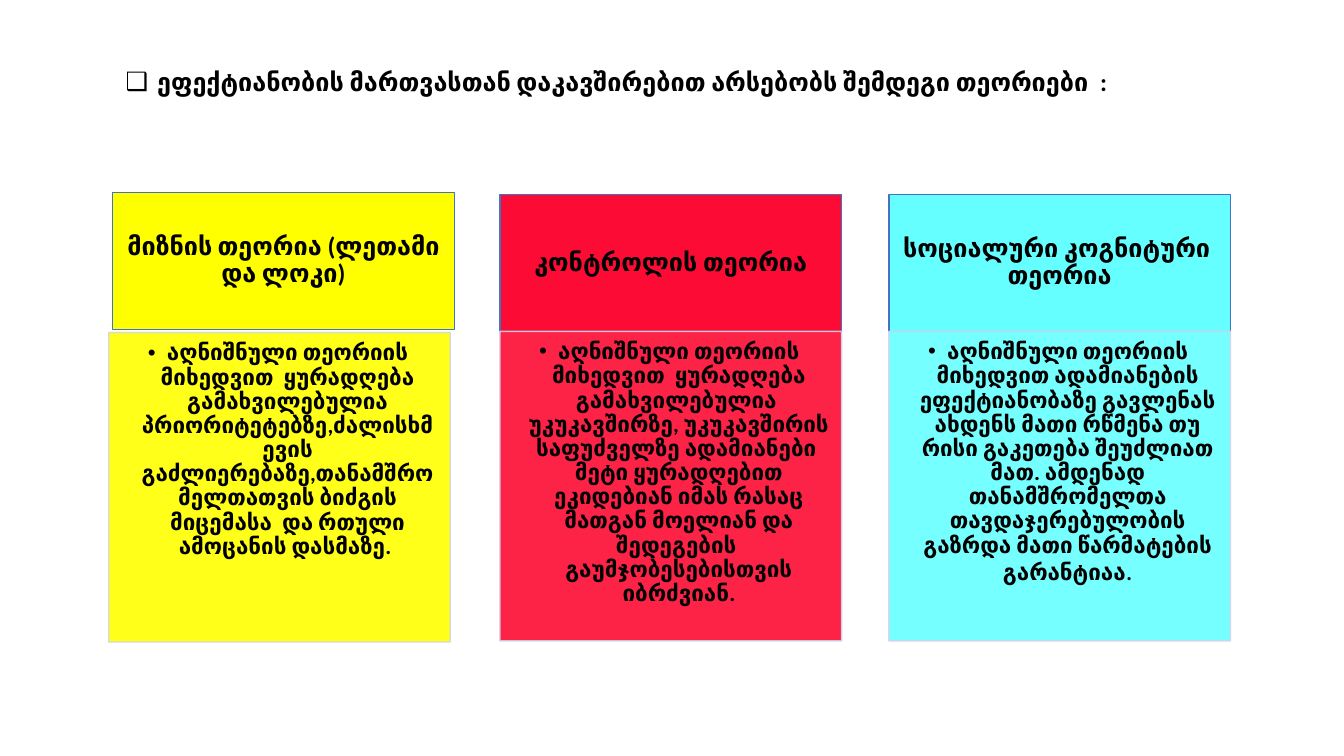
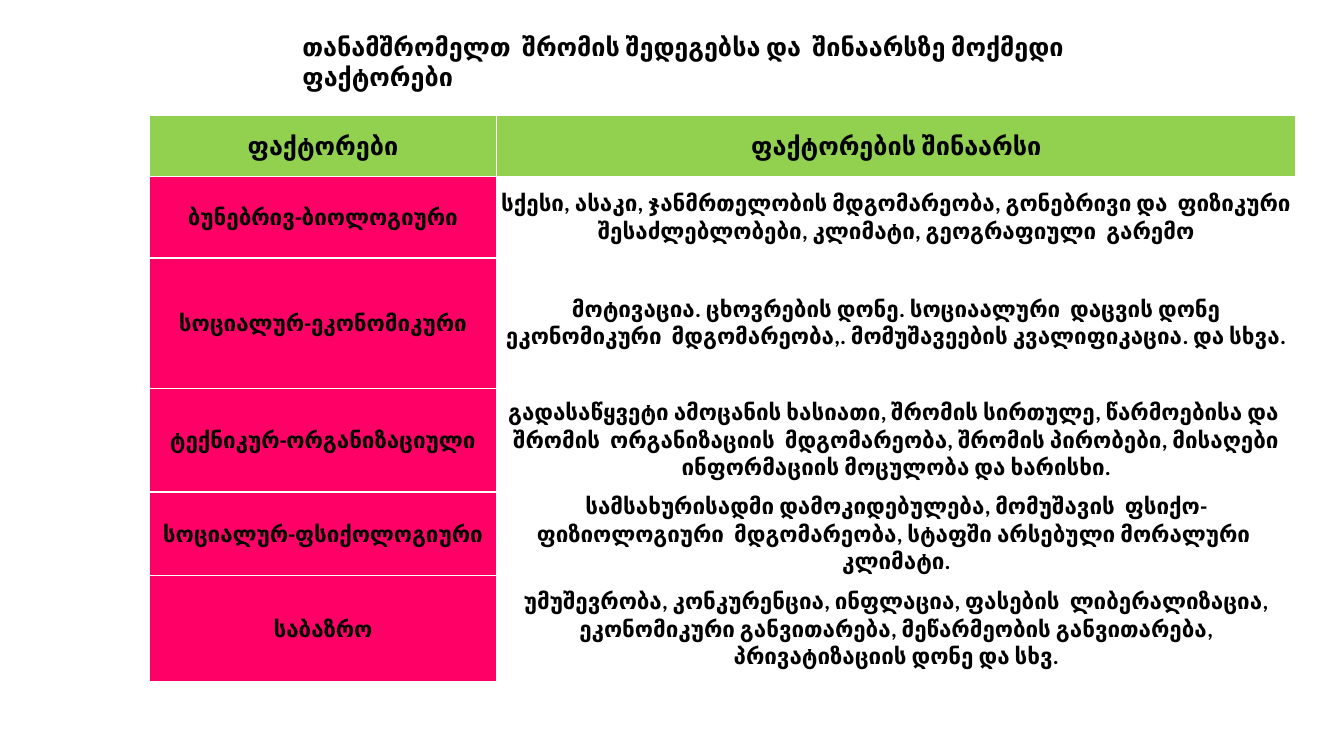
from lxml import etree
from pptx import Presentation
from pptx.dml import color
from pptx.enum import shapes, text
from pptx.oxml import ns
from pptx.util import Cm, Pt

RGB = color.RGBColor
BLACK = RGB(0x00, 0x00, 0x00)
WHITE = RGB(0xFF, 0xFF, 0xFF)
YELLOW = RGB(0xFF, 0xFF, 0x00)
RED = RGB(0xFC, 0x0C, 0x34)
CYAN = RGB(0x66, 0xFF, 0xFF)
BLUE = RGB(0x44, 0x72, 0xC4)
PALE = RGB(0xCF, 0xD5, 0xEA)
GREEN = RGB(0x92, 0xD0, 0x50)
PINK = RGB(0xFF, 0x00, 0x66)
FONT = "Calibri"
MID = text.MSO_ANCHOR.MIDDLE
TOP = text.MSO_ANCHOR.TOP

CARD_W, HEAD_H, BODY_H = 8.61, 3.45, 7.8
CARDS = [
    (YELLOW, (2.84, 4.85), (2.74, 8.38),
     [("მიზნის", 18, True), (" ", 16, True), ("თეორია (ლეთამი და ლოკი)", 18, True)],
     [("აღნიშნული თეორიის მიხედვით  ყურადღება გამახვილებულია პრიორიტეტებზე,ძალისხმევის "
       "გაძლიერებაზე,თანამშრომელთათვის ბიძგის მიცემასა  და რთული ამოცანის დასმაზე. ", 16, True)]),
    (RED, (12.6, 4.9), (12.6, 8.35),
     [("კონტროლის თეორია", 18, True)],
     [("აღნიშნული თეორიის მიხედვით  ყურადღება გამახვილებულია  უკუკავშირზე, უკუკავშირის "
       "საფუძველზე ადამიანები  მეტი ყურადღებით ეკიდებიან იმას რასაც მათგან მოელიან და "
       "შედეგების  გაუმჯობესებისთვის იბრძვიან.", 16, True)]),
    (CYAN, (22.4, 4.9), (22.4, 8.35),
     [("სოციალური კოგნიტური  თეორია", 18, True)],
     [("აღნიშნული თეორიის მიხედვით ადამიანების ეფექტიანობაზე გავლენას ახდენს მათი რწმენა თუ "
       "რისი გაკეთება შეუძლიათ მათ. ამდენად თანამშრომელთა თავდაჯერებულობის გაზრდა მათი "
       "წარმატების გარანტიაა", 16, True), (".", 19, False)]),
]
COLS = [8.76, 20.14]
ROWS = [
    (1.52, "ფაქტორები", "ფაქტორების შინაარსი"),
    (2.06, "ბუნებრივ-ბიოლოგიური",
     "სქესი, ასაკი, ჯანმრთელობის მდგომარეობა, გონებრივი და  ფიზიკური შესაძლებლობები, "
     "კლიმატი, გეოგრაფიული  გარემო"),
    (3.28, "სოციალურ-ეკონომიკური",
     "მოტივაცია. ცხოვრების დონე. სოციაალური  დაცვის დონე ეკონომიკური  მდგომარეობა,. "
     "მომუშავეების კვალიფიკაცია. და სხვა."),
    (2.62, "ტექნიკურ-ორგანიზაციული",
     "გადასაწყვეტი ამოცანის ხასიათი, შრომის სირთულე, წარმოებისა და  შრომის  ორგანიზაციის  "
     "მდგომარეობა, შრომის პირობები, მისაღები ინფორმაციის მოცულობა და ხარისხი."),
    (2.11, "სოციალურ-ფსიქოლოგიური",
     "სამსახურისადმი დამოკიდებულება, მომუშავის  ფსიქო-ფიზიოლოგიური  მდგომარეობა, სტაფში "
     "არსებული მორალური  კლიმატი."),
    (2.67, "საბაზრო",
     "უმუშევრობა, კონკურენცია, ინფლაცია, ფასების  ლიბერალიზაცია, ეკონომიკური განვითარება, "
     "მეწარმეობის განვითარება, პრივატიზაციის დონე და სხვ."),
]


def add_runs(para, runs):
    for words, size, bold in runs:
        run = para.add_run()
        run.text = words
        run.font.name = FONT
        run.font.size = Pt(size)
        run.font.bold = bold
        run.font.color.rgb = BLACK


def set_bullet(para, mark, indent):
    props = para._p.get_or_add_pPr()
    props.set("marL", str(Cm(indent)))
    props.set("indent", str(-Cm(indent)))
    etree.SubElement(props, ns.qn("a:buFont")).set("typeface", "Arial")
    etree.SubElement(props, ns.qn("a:buChar")).set("char", mark)


def set_alpha(part, share):
    for tint in part.iter(ns.qn("a:srgbClr")):
        etree.SubElement(tint, ns.qn("a:alpha")).set("val", str(share * 1000))


def set_insets(item, left, top, right, low):
    item.margin_left, item.margin_top = Cm(left), Cm(top)
    item.margin_right, item.margin_bottom = Cm(right), Cm(low)


def add_title(slide, left, top, width, words):
    box = slide.shapes.add_textbox(Cm(left), Cm(top), Cm(width), Cm(1.02))
    box.text_frame.word_wrap = True
    para = box.text_frame.paragraphs[0]
    add_runs(para, [(words, 18, True)])
    return para


def add_panel(slide, spot, height, fill, edge, anchor, insets, runs):
    panel = slide.shapes.add_shape(shapes.MSO_SHAPE.RECTANGLE, Cm(spot[0]), Cm(spot[1]),
                                   Cm(CARD_W), Cm(height))
    panel.shadow.inherit = False
    panel.fill.solid()
    panel.fill.fore_color.rgb = fill
    panel.line.color.rgb = edge
    panel.line.width = Pt(1)
    frame = panel.text_frame
    frame.word_wrap = True
    frame.vertical_anchor = anchor
    set_insets(frame, *insets)
    para = frame.paragraphs[0]
    para.alignment = text.PP_ALIGN.CENTER
    para.line_spacing = 0.9
    add_runs(para, runs)
    return panel


def add_card(slide, fill, head_at, body_at, head, body):
    add_panel(slide, head_at, HEAD_H, fill, BLUE, MID, (0.36, 0.2, 0.36, 0.2), head)
    panel = add_panel(slide, body_at, BODY_H, fill, PALE, TOP, (0.23, 0.23, 0.3, 0.36), body)
    set_alpha(panel._element.spPr, 90)
    para = panel.text_frame.paragraphs[0]
    para.level = 1
    set_bullet(para, "•", 0.48)


def set_borders(cell):
    props = cell._tc.get_or_add_tcPr()
    for place, side in enumerate(("lnL", "lnR", "lnT", "lnB")):
        line = etree.Element(ns.qn("a:" + side), w=str(Pt(1)))
        fill = etree.SubElement(line, ns.qn("a:solidFill"))
        etree.SubElement(fill, ns.qn("a:srgbClr")).set("val", str(WHITE))
        props.insert(place, line)


def fill_cell(cell, words, size, fill):
    cell.fill.solid()
    cell.fill.fore_color.rgb = fill
    cell.vertical_anchor = MID
    set_insets(cell, 0.03, 0.03, 0.03, 0)
    para = cell.text_frame.paragraphs[0]
    para.alignment = text.PP_ALIGN.CENTER
    add_runs(para, [(words, size, True)])
    set_borders(cell)


def add_grid(slide, left, top):
    high = sum(row[0] for row in ROWS)
    grid = slide.shapes.add_table(len(ROWS), len(COLS), Cm(left), Cm(top),
                                  Cm(sum(COLS)), Cm(high)).table
    for col, width in zip(grid.columns, COLS):
        col.width = Cm(width)
    for i, (height, *cells) in enumerate(ROWS):
        grid.rows[i].height = Cm(height)
        fills = (PINK, WHITE) if i else (GREEN, GREEN)
        for j, words in enumerate(cells):
            fill_cell(grid.cell(i, j), words, 16 if i else 18, fills[j])


def build_cards(slide):
    para = add_title(slide, 2.92, 1.55, 29.72,
                     "ეფექტიანობის მართვასთან დაკავშირებით არსებობს შემდეგი თეორიები  :")
    set_bullet(para, "❑", 0.79)
    for card in CARDS:
        add_card(slide, *card)


def build_grid(slide):
    add_grid(slide, 3.76, 2.92)
    add_title(slide, 7.37, 0.66, 21.97,
              "თანამშრომელთ  შრომის შედეგებსა და  შინაარსზე მოქმედი ფაქტორები")


def main():
    deck = Presentation()
    deck.slide_width, deck.slide_height = Cm(33.87), Cm(19.05)
    for build in (build_cards, build_grid):
        build(deck.slides.add_slide(deck.slide_layouts[6]))
    deck.save("out.pptx")


if __name__ == "__main__":
    main()
